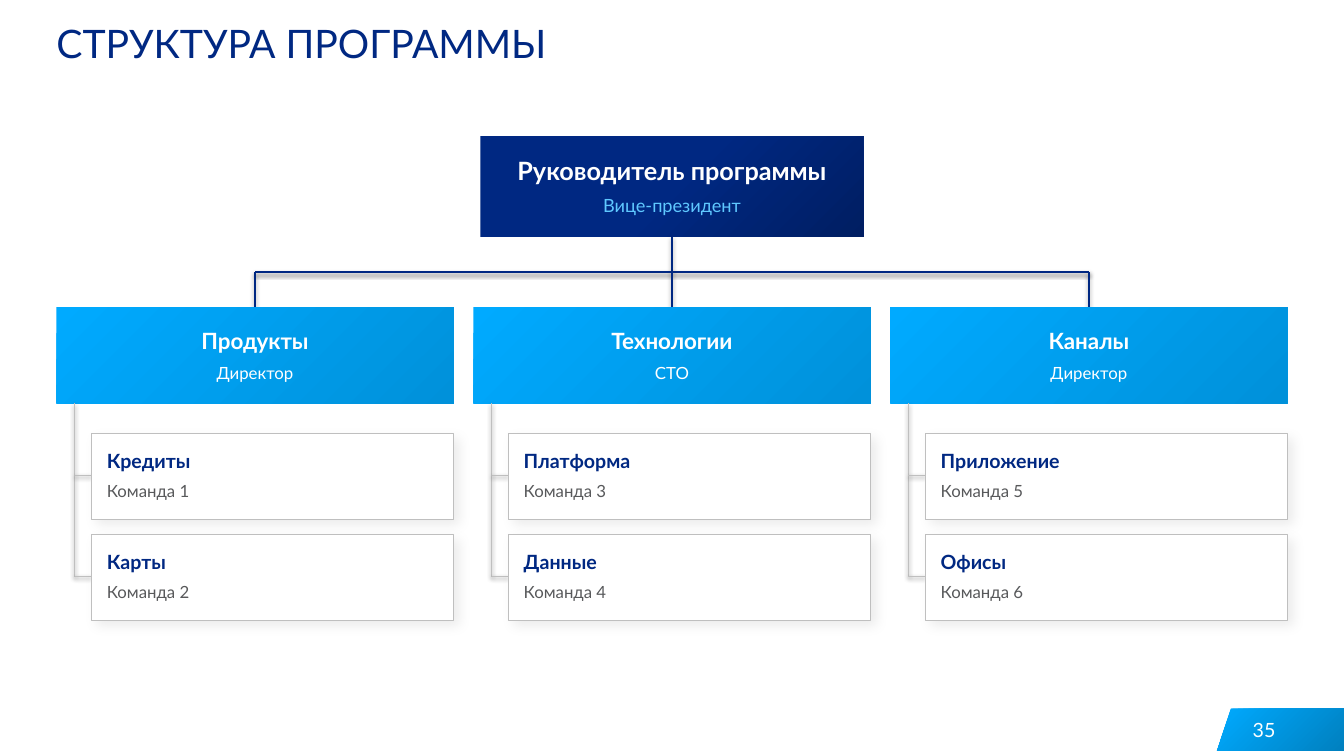
from dataclasses import dataclass

from lxml.etree import SubElement
from pptx import Presentation
from pptx.dml.color import RGBColor
from pptx.enum.shapes import MSO_CONNECTOR as Connector, MSO_SHAPE as Shape
from pptx.enum.text import MSO_ANCHOR as Anchor, MSO_AUTO_SIZE as AutoSize, PP_ALIGN as Align
from pptx.oxml.ns import qn
from pptx.util import Inches, Pt


@dataclass(frozen=True)
class Style:
    size: float
    color: str
    bold: bool = False
    align: Align = Align.LEFT


@dataclass(frozen=True)
class Shadow:
    opacity: int
    blur: float
    distance: float
    angle: int


@dataclass(frozen=True)
class Theme:
    font: str = "Lato"
    navy: str = "002882"
    deep_navy: str = "001E62"
    sky: str = "00AAFF"
    blue: str = "0091DA"
    footer_blue: str = "0080BF"
    white: str = "FFFFFF"
    gray: str = "BFBFBF"
    title: Style = Style(28, "002882")
    page_number: Style = Style(14, "FFFFFF", align=Align.RIGHT)
    leader: Style = Style(18, "FFFFFF", True, Align.CENTER)
    leader_role: Style = Style(13, "5FC8FF", align=Align.CENTER)
    branch: Style = Style(16, "FFFFFF", True, Align.CENTER)
    branch_role: Style = Style(12, "FFFFFF", align=Align.CENTER)
    team: Style = Style(14, "002882", True)
    team_note: Style = Style(12, "58595B")
    line_shadow: Shadow = Shadow(38, 3.1, 1.6, 90)
    card_shadow: Shadow = Shadow(8, 9, 5, 45)


@dataclass(frozen=True)
class Team:
    name: str
    note: str


@dataclass(frozen=True)
class Branch:
    name: str
    role: str
    teams: tuple[Team, ...]


THEME = Theme()
BRANCHES = (
    Branch("Продукты", "Директор", (Team("Кредиты", "Команда 1"), Team("Карты", "Команда 2"))),
    Branch("Технологии", "CTO", (Team("Платформа", "Команда 3"), Team("Данные", "Команда 4"))),
    Branch("Каналы", "Директор", (Team("Приложение", "Команда 5"), Team("Офисы", "Команда 6"))),
)

PAGE_WIDTH, PAGE_HEIGHT = 13.33, 7.5
MARGIN = 0.56
CENTER = PAGE_WIDTH / 2
LEADER_WIDTH, LEADER_TOP, LEADER_BOTTOM = 3.8, 1.35, 2.35
BUS_Y = 2.7
BRANCH_WIDTH, BRANCH_TOP, BRANCH_BOTTOM = 3.94, 3.05, 4.0
BRANCH_PITCH = (PAGE_WIDTH - 2 * MARGIN - BRANCH_WIDTH) / (len(BRANCHES) - 1)
RAIL_INDENT, CARD_INDENT = 0.18, 0.35
CARD_TOP, CARD_HEIGHT, CARD_PITCH = 4.3, 0.85, 1.0
TICK_OFFSET = 0.42


def rgb(color: str) -> RGBColor:
    return RGBColor.from_string(color)


def fill_gradient(shape, start: str, end: str, start_position: float = 0) -> None:
    """Blend two colours from the top left to the bottom right."""
    shape.fill.gradient()
    shape.fill.gradient_angle = 315
    first, last = shape.fill.gradient_stops
    first.color.rgb, last.color.rgb = rgb(start), rgb(end)
    first.position = start_position
    shape.line.fill.background()


def cast_shadow(effects, shadow: Shadow) -> None:
    outer = SubElement(effects, qn("a:outerShdw"), blurRad=str(Pt(shadow.blur)),
                       dist=str(Pt(shadow.distance)), dir=str(shadow.angle * 60000),
                       rotWithShape="0")
    color = SubElement(outer, qn("a:srgbClr"), val="000000")
    SubElement(color, qn("a:alpha"), val=str(shadow.opacity * 1000))


def set_text(frame, text: str, style: Style, anchor: Anchor = Anchor.TOP) -> None:
    frame.text = text
    frame.word_wrap = True
    frame.auto_size = AutoSize.NONE
    frame.vertical_anchor = anchor
    para = frame.paragraphs[0]
    para.alignment = style.align
    font = para.runs[0].font
    font.name, font.size, font.bold = THEME.font, Pt(style.size), style.bold
    font.color.rgb = rgb(style.color)


def clear_margins(frame) -> None:
    frame.margin_left = frame.margin_top = frame.margin_right = frame.margin_bottom = 0


def add_label(page, left: float, top: float, width: float, height: float,
              text: str, style: Style, anchor: Anchor = Anchor.TOP) -> None:
    box = page.shapes.add_textbox(Inches(left), Inches(top), Inches(width), Inches(height))
    set_text(box.text_frame, text, style, anchor)
    clear_margins(box.text_frame)


def add_box(page, left: float, top: float, width: float, height: float):
    box = page.shapes.add_shape(Shape.RECTANGLE, Inches(left), Inches(top),
                                Inches(width), Inches(height))
    box.shadow.inherit = False
    return box


def add_line(page, x1: float, y1: float, x2: float, y2: float,
             color: str, weight: float) -> None:
    line = page.shapes.add_connector(Connector.STRAIGHT, Inches(x1), Inches(y1),
                                     Inches(x2), Inches(y2))
    line.line.color.rgb, line.line.width = rgb(color), Pt(weight)
    cast_shadow(SubElement(line.element.spPr, qn("a:effectLst")), THEME.line_shadow)


def add_title(page, text: str) -> None:
    title = page.shapes.title
    title.left, title.top = Inches(MARGIN), Inches(0.19)
    title.width, title.height = Inches(10.48), Inches(0.94)
    set_text(title.text_frame, text, THEME.title)
    clear_margins(title.text_frame)


def add_page_number(page, number: str) -> None:
    builder = page.shapes.build_freeform(Inches(12.21), Inches(7.03))
    corners = ((PAGE_WIDTH, 7.03), (PAGE_WIDTH, 7.45), (12.07, 7.45))
    builder.add_line_segments([(Inches(x), Inches(y)) for x, y in corners], close=True)
    tab = builder.convert_to_shape()
    tab.shadow.inherit = False
    fill_gradient(tab, THEME.sky, THEME.footer_blue)
    box = page.shapes.add_textbox(Inches(12.19), Inches(7.04), Inches(0.56), Inches(0.4))
    set_text(box.text_frame, number, THEME.page_number, Anchor.MIDDLE)


def add_leader(page, name: str, role: str) -> None:
    left = CENTER - LEADER_WIDTH / 2
    box = add_box(page, left, LEADER_TOP, LEADER_WIDTH, LEADER_BOTTOM - LEADER_TOP)
    fill_gradient(box, THEME.navy, THEME.deep_navy, 0.5)
    add_label(page, left + 0.15, 1.47, 3.5, 0.45, name, THEME.leader, Anchor.MIDDLE)
    add_label(page, left + 0.15, 1.93, 3.5, 0.32, role, THEME.leader_role)
    half_span = BRANCH_PITCH * (len(BRANCHES) - 1) / 2
    add_line(page, CENTER, LEADER_BOTTOM, CENTER, BUS_Y, THEME.navy, 1.25)
    add_line(page, CENTER - half_span, BUS_Y, CENTER + half_span, BUS_Y, THEME.navy, 1.25)


def add_team(page, branch_left: float, top: float, team: Team) -> None:
    rail, left = branch_left + RAIL_INDENT, branch_left + CARD_INDENT
    width = BRANCH_WIDTH - CARD_INDENT
    add_line(page, rail, top + TICK_OFFSET, left, top + TICK_OFFSET, THEME.gray, 1)
    card = add_box(page, left, top, width, CARD_HEIGHT)
    card.fill.solid()
    card.fill.fore_color.rgb = rgb(THEME.white)
    card.line.color.rgb, card.line.width = rgb(THEME.gray), Pt(0.5)
    cast_shadow(card.element.spPr.find(qn("a:effectLst")), THEME.card_shadow)
    add_label(page, left + 0.15, top + 0.06, width - 0.25, 0.42,
              team.name, THEME.team, Anchor.MIDDLE)
    add_label(page, left + 0.15, top + 0.47, width - 0.25, 0.34, team.note, THEME.team_note)


def add_branch(page, left: float, branch: Branch) -> None:
    middle, rail = left + BRANCH_WIDTH / 2, left + RAIL_INDENT
    add_line(page, middle, BUS_Y, middle, BRANCH_TOP, THEME.navy, 1.25)
    box = add_box(page, left, BRANCH_TOP, BRANCH_WIDTH, BRANCH_BOTTOM - BRANCH_TOP)
    fill_gradient(box, THEME.sky, THEME.blue)
    width = BRANCH_WIDTH - 0.2
    add_label(page, left + 0.1, 3.15, width, 0.45, branch.name, THEME.branch, Anchor.MIDDLE)
    add_label(page, left + 0.1, 3.6, width, 0.32, branch.role, THEME.branch_role)
    last_tick = CARD_TOP + (len(branch.teams) - 1) * CARD_PITCH + TICK_OFFSET
    add_line(page, rail, BRANCH_BOTTOM, rail, last_tick, THEME.gray, 1)
    for row, team in enumerate(branch.teams):
        add_team(page, left, CARD_TOP + row * CARD_PITCH, team)


def main() -> None:
    deck = Presentation()
    deck.slide_width, deck.slide_height = Inches(PAGE_WIDTH), Inches(PAGE_HEIGHT)
    page = deck.slides.add_slide(deck.slide_layouts[5])
    add_title(page, "СТРУКТУРА ПРОГРАММЫ")
    add_page_number(page, "35")
    add_leader(page, "Руководитель программы", "Вице-президент")
    for column, branch in enumerate(BRANCHES):
        add_branch(page, MARGIN + column * BRANCH_PITCH, branch)
    deck.save("out.pptx")


if __name__ == "__main__":
    main()
